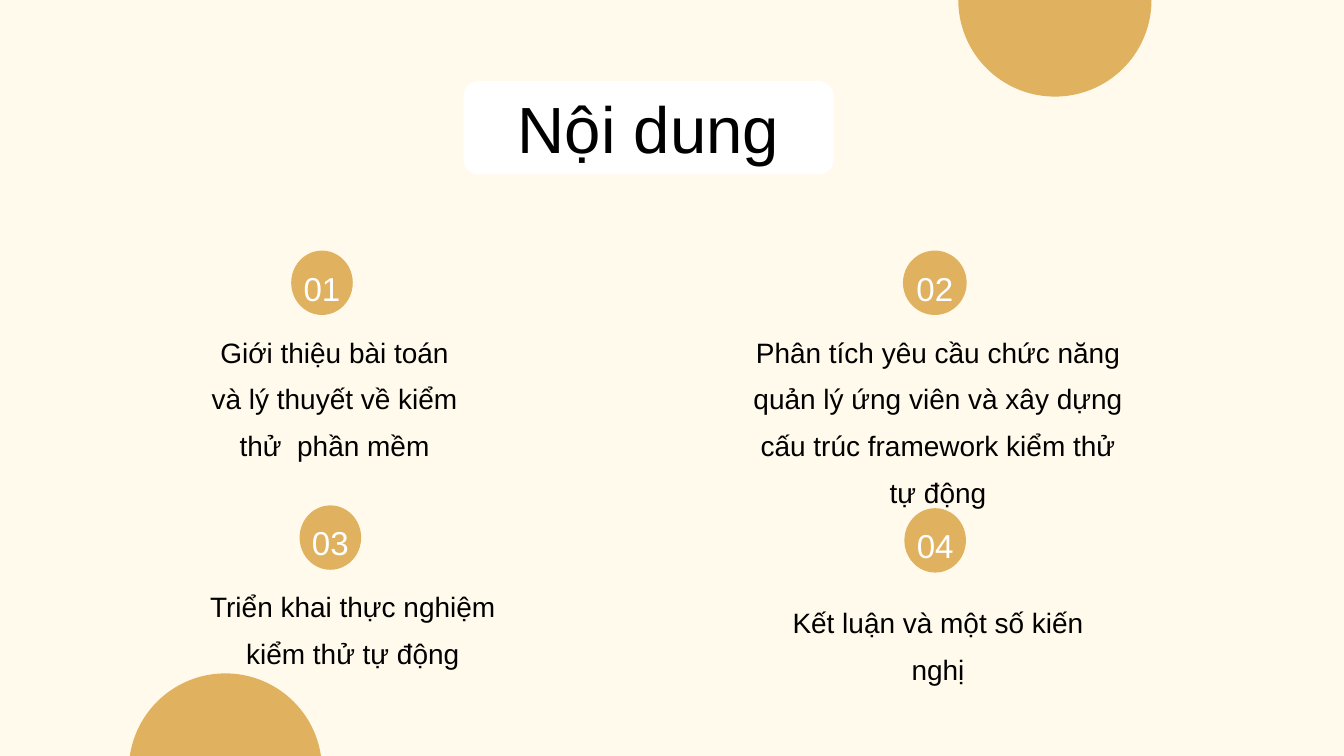
from dataclasses import dataclass

from pptx import Presentation
from pptx import util as u
from pptx.dml.color import RGBColor
from pptx.enum import shapes, text

EMU_PER_PX = 9525


@dataclass(frozen=True)
class Theme:
    background: str = "FFFAEB"
    accent: str = "E0B15E"
    panel: str = "FFFFFF"
    number: str = "FFFFFF"
    ink: str = "000000"
    font: str = "Arial"
    title_size: float = 70
    number_size: float = 35.5
    topic_size: float = 30


@dataclass(frozen=True)
class Box:
    left: int
    top: int
    width: int
    height: int

    def emu(self) -> list[u.Emu]:
        return [px(v) for v in (self.left, self.top, self.width, self.height)]


@dataclass(frozen=True)
class Topic:
    badge: Box
    label: Box
    wording: str


THEME = Theme()
TITLE_BOX = Box(662, 116, 529, 133)
CORNER_DISCS = [Box(1369, -138, 276, 276), Box(184, 962, 276, 276)]
TOPICS = [
    Topic(Box(416, 358, 88, 92), Box(293, 460, 370, 217),
          "Giới thiệu bài toán và lý thuyết về kiểm thử  phần mềm"),
    Topic(Box(1290, 358, 91, 92), Box(1071, 460, 538, 217),
          "Phân tích yêu cầu chức năng quản lý ứng viên và xây dựng "
          "cấu trúc framework kiểm thử tự động"),
    Topic(Box(428, 722, 88, 92), Box(288, 824, 432, 108),
          "Triển khai thực nghiệm kiểm thử tự động"),
    Topic(Box(1292, 726, 88, 92), Box(1119, 847, 442, 108),
          "Kết luận và một số kiến nghị"),
]


def px(length: int) -> u.Emu:
    return u.Emu(length * EMU_PER_PX)


def write(frame, wording: str, size: float, color: str,
          anchor=text.MSO_ANCHOR.TOP, spacing: float = 1.0) -> None:
    """Fill a text frame with one centred paragraph and no insets."""
    frame.text = wording
    frame.word_wrap = True
    frame.auto_size = text.MSO_AUTO_SIZE.NONE
    frame.vertical_anchor = anchor
    frame.margin_left = frame.margin_right = 0
    frame.margin_top = frame.margin_bottom = 0
    paragraph = frame.paragraphs[0]
    paragraph.alignment = text.PP_ALIGN.CENTER
    paragraph.line_spacing = spacing
    font = paragraph.runs[0].font
    font.name, font.size = THEME.font, u.Pt(size)
    font.color.rgb = RGBColor.from_string(color)


def add_filled(slide, preset, box: Box, color: str):
    """Draw a flat preset shape without outline."""
    shape = slide.shapes.add_shape(preset, *box.emu())
    shape.shadow.inherit = False
    shape.fill.solid()
    shape.fill.fore_color.rgb = RGBColor.from_string(color)
    shape.line.fill.background()
    return shape


def add_title(slide, wording: str) -> None:
    panel = add_filled(slide, shapes.MSO_SHAPE.ROUNDED_RECTANGLE, TITLE_BOX, THEME.panel)
    panel.adjustments[0] = 0.16
    title = slide.shapes.title
    title.left, title.top, title.width, title.height = TITLE_BOX.emu()
    write(title.text_frame, wording, THEME.title_size, THEME.ink, text.MSO_ANCHOR.MIDDLE)
    # Bring the title in front of its panel
    panel._element.addnext(title._element)


def add_topic(slide, number: int, topic: Topic) -> None:
    badge = topic.badge
    add_filled(slide, shapes.MSO_SHAPE.OVAL, badge, THEME.accent)
    number_box = Box(badge.left + 8, badge.top + 1, badge.width - 16, 82)
    numeral = slide.shapes.add_textbox(*number_box.emu())
    write(numeral.text_frame, f"{number:02d}", THEME.number_size, THEME.number,
          text.MSO_ANCHOR.MIDDLE, 1.4)
    label = slide.shapes.add_textbox(*topic.label.emu())
    write(label.text_frame, topic.wording, THEME.topic_size, THEME.ink, spacing=1.39)


def main() -> None:
    deck = Presentation()
    deck.slide_width, deck.slide_height = px(1920), px(1080)
    slide = deck.slides.add_slide(deck.slide_layouts.get_by_name("Title Only"))
    slide.background.fill.solid()
    slide.background.fill.fore_color.rgb = RGBColor.from_string(THEME.background)

    # Numbered topics
    for number, topic in enumerate(TOPICS, start=1):
        add_topic(slide, number, topic)

    # Heading
    add_title(slide, "Nội dung")

    # Discs running off the slide edges
    for disc in CORNER_DISCS:
        add_filled(slide, shapes.MSO_SHAPE.OVAL, disc, THEME.accent)

    deck.save("out.pptx")


if __name__ == "__main__":
    main()
